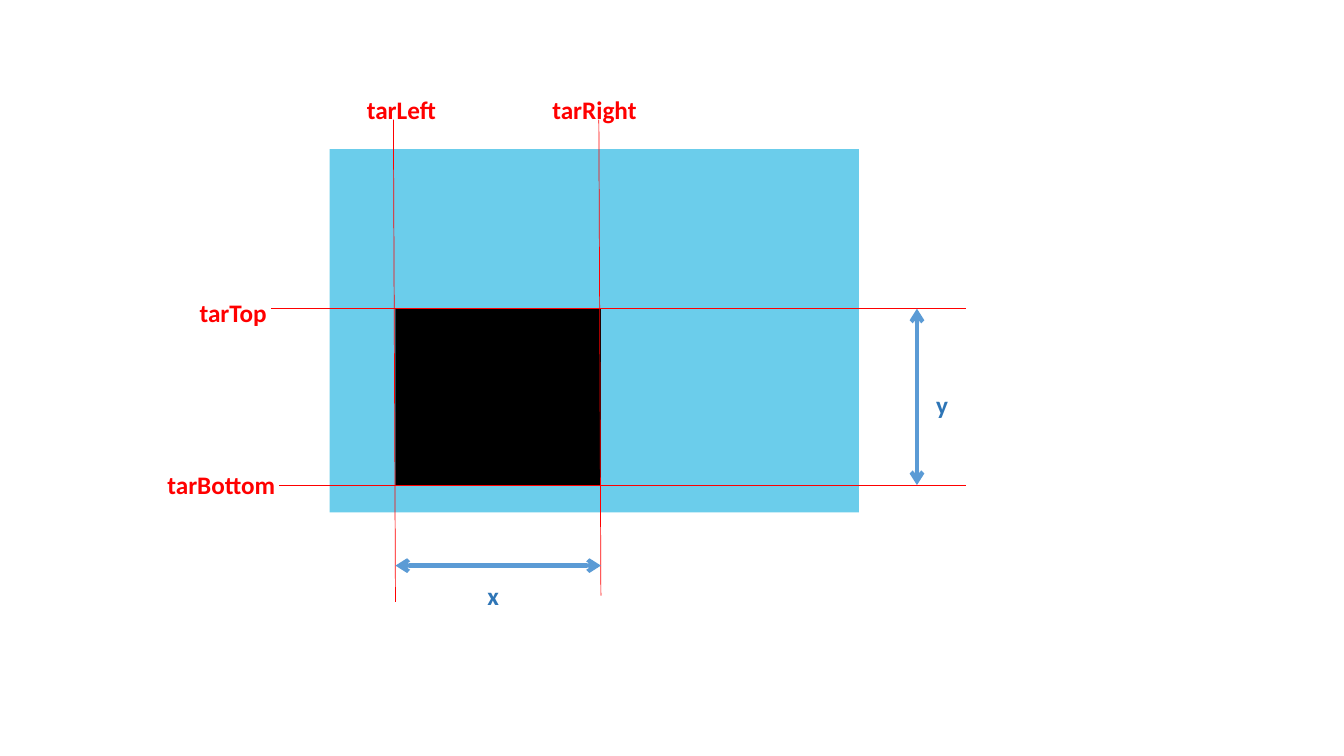
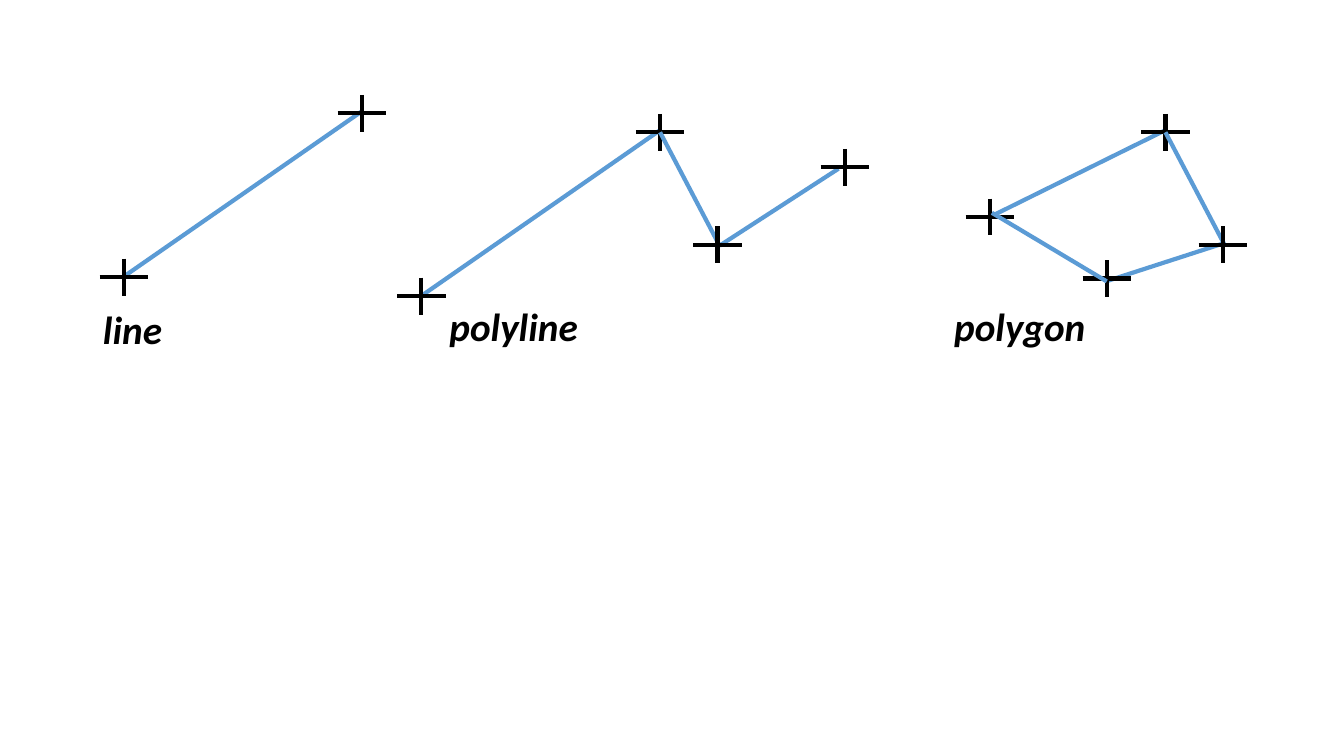
from lxml import etree
from pptx import Presentation
from pptx.dml.color import RGBColor
from pptx.enum.shapes import MSO_CONNECTOR, MSO_SHAPE
from pptx.oxml.ns import qn
from pptx.util import Pt

STRAIGHT = MSO_CONNECTOR.STRAIGHT
RECTANGLE = MSO_SHAPE.RECTANGLE

COLORS = {
    "canvas": "6BCDEB",
    "target": "000000",
    "guide": "FF0000",
    "stroke": "5B9BD5",
    "dimension": "2E75B6",
    "ink": "000000",
}
FONT = "Calibri"
THIN, THICK = 0.5, 3
CROSS_HALF_WIDTH, CROSS_HALF_HEIGHT = 17.25, 13.2
BLANK_LAYOUT = 6

LEFT, TOP, RIGHT, BOTTOM = 282.5, 220.5, 429.25, 346.5
RECTANGLES = [
    ("canvas", 235.5, 106.5, 378, 259.5),
    ("target", LEFT, TOP, RIGHT - LEFT, BOTTOM - TOP),
]
GUIDES = [
    (193.5, TOP, 690, TOP),
    (LEFT, 430, LEFT - 1.5, 85.5),
    (RIGHT, 425.5, RIGHT - 1.5, 85.5),
    (199.5, BOTTOM, 690, BOTTOM),
]
DIMENSIONS = [
    (655, TOP, 655, BOTTOM),
    (LEFT, 404, RIGHT, 404),
]
TARGET_LABELS = [
    ("tarLeft", "guide", 255, 63.5, 80),
    ("tarRight", "guide", 387.5, 63.5, 80),
    ("tarTop", "guide", 135.5, 209, 80),
    ("tarBottom", "guide", 112.5, 332, 97.5),
    ("y", "dimension", 661.5, 274.5, 29),
    ("x", "dimension", 341, 411, 29),
]
TARGET_STYLE = {"name": FONT, "size": Pt(18), "bold": True}

FIGURES = [
    ("line", 66.5, 214.5, [
        ("edges", [(88.5, 197.5, 258.5, 79.5)]),
        ("crosses", [(258.5, 81), (88.5, 198)]),
    ]),
    ("polyline", 314, 212.5, [
        ("edges", [(301.5, 211, 471.5, 93)]),
        ("crosses", [(471.5, 94.5), (301, 211.5)]),
        ("edges", [(514, 175.5, 471.5, 94.5), (599, 120.5, 514, 175.5)]),
        ("crosses", [(512.5, 175), (603.5, 119.5)]),
    ]),
    ("polygon", 674.5, 212.5, [
        ("edges", [(707, 155, 832.5, 93)]),
        ("crosses", [(832.5, 94.5), (707, 155)]),
        ("edges", [(875, 175.5, 832.5, 94.5), (875, 173.5, 790, 201)]),
        ("crosses", [(873.5, 175), (790.5, 199)]),
        ("edges", [(790.5, 201, 708.5, 152)]),
    ]),
]
FIGURE_STYLE = {"name": FONT, "size": Pt(28), "bold": True, "italic": True}


def color(name):
    return RGBColor.from_string(COLORS[name])


def add_line(slide, ends, color_name, width, arrows=False):
    line = slide.shapes.add_connector(STRAIGHT, *map(Pt, ends))
    line.line.color.rgb = color(color_name)
    line.line.width = Pt(width)
    if arrows:
        for tag in ("a:headEnd", "a:tailEnd"):
            etree.SubElement(line.line._get_or_add_ln(), qn(tag), type="arrow")
    etree.SubElement(line._element.spPr, qn("a:effectLst"))


def add_rectangle(slide, color_name, *box):
    shape = slide.shapes.add_shape(RECTANGLE, *map(Pt, box))
    shape.shadow.inherit = False
    shape.fill.solid()
    shape.fill.fore_color.rgb = color(color_name)
    shape.line.fill.background()


def add_label(slide, text, color_name, box, style):
    frame = slide.shapes.add_textbox(*map(Pt, box)).text_frame
    frame.word_wrap = True
    paragraph = frame.paragraphs[0]
    run = paragraph.add_run()
    run.text = text
    run.font.color.rgb = color(color_name)
    for attribute, value in style.items():
        setattr(run.font, attribute, value)


def add_cross(slide, x, y):
    for dx, dy in ((0, CROSS_HALF_HEIGHT), (CROSS_HALF_WIDTH, 0)):
        add_line(slide, (x - dx, y - dy, x + dx, y + dy), "ink", THICK)


def build_target_slide(slide):
    for rectangle in RECTANGLES:
        add_rectangle(slide, *rectangle)
    for ends in GUIDES:
        add_line(slide, ends, "guide", THIN)
    for ends in DIMENSIONS:
        add_line(slide, ends, "stroke", THICK, arrows=True)
    for text, color_name, left, top, width in TARGET_LABELS:
        add_label(slide, text, color_name, (left, top, width, 29), TARGET_STYLE)


def build_figures_slide(slide):
    for name, left, top, layers in FIGURES:
        for kind, items in layers:
            for item in items:
                if kind == "edges":
                    add_line(slide, item, "stroke", THICK)
                else:
                    add_cross(slide, *item)
        add_label(slide, name, "ink", (left, top, 196, 41), FIGURE_STYLE)


def main():
    presentation = Presentation()
    presentation.slide_width = Pt(960)
    presentation.slide_height = Pt(540)
    layout = presentation.slide_layouts[BLANK_LAYOUT]
    for build in (build_target_slide, build_figures_slide):
        build(presentation.slides.add_slide(layout))
    presentation.save("out.pptx")


if __name__ == "__main__":
    main()
